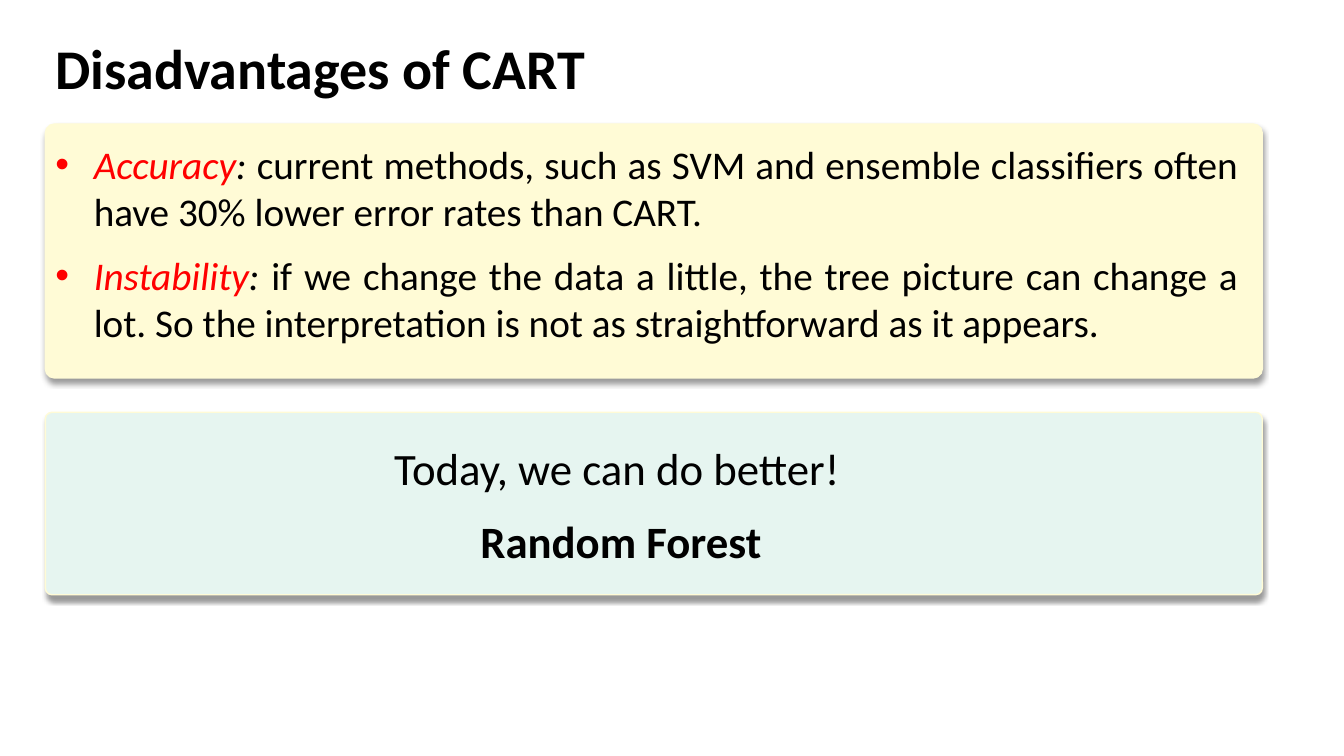
"""Build the slide on the disadvantages of CART."""
import pptx
import pptx.dml.color
import pptx.enum.shapes
import pptx.enum.text
import pptx.oxml
import pptx.oxml.ns
import pptx.util

Inches = pptx.util.Inches
Pt = pptx.util.Pt
ALIGN = pptx.enum.text.PP_ALIGN

FONT = "Calibri"
COLORS = {"text": "000000", "term": "FF0000", "cream": "FFFBD6", "mint": "E6F5F0"}

HEADING = "Disadvantages of CART"
DRAWBACKS = [
    ("Accuracy", ": ", "current methods, such as SVM and ensemble classifiers often "
     "have 30% lower error rates than CART."),
    ("Instability", ":", " if we change the data a little, the tree picture can change "
     "a lot. So the interpretation is not as straightforward as it appears."),
]
CONCLUSIONS = [
    ("Today, we can do better!", False, (0.54, 4.32, 11.16, 0.64)),
    ("Random Forest", True, (4.65, 5.05, 3.02, 0.64)),
]

LEFT, PANEL_WIDTH = 0.45, 12.07
PANELS = [("mint", 4.09, 1.81), ("cream", 1.23, 2.52)]
HEADING_BOX = (LEFT, 0.28, 5.51, 0.77)
DRAWBACKS_BOX = (LEFT, 1.34, 11.93, 2.15)

SHADOW = (
    f'<a:effectLst {pptx.oxml.ns.nsdecls("a")}>'
    f'<a:outerShdw blurRad="{Pt(4)}" dist="{Pt(3)}" dir="5400000" rotWithShape="0">'
    '<a:srgbClr val="000000"><a:alpha val="40000"/></a:srgbClr>'
    '</a:outerShdw></a:effectLst>'
)
BULLET = [
    f'<a:buFont {pptx.oxml.ns.nsdecls("a")} typeface="Arial"/>',
    f'<a:buChar {pptx.oxml.ns.nsdecls("a")} char="•"/>',
]


def rgb(name):
    return pptx.dml.color.RGBColor.from_string(COLORS[name])


def style(run, size, color="text", bold=False, italic=False):
    run.font.name = FONT
    run.font.size = Pt(size)
    run.font.bold = bold
    run.font.italic = italic
    run.font.color.rgb = rgb(color)


def place(shape, box):
    shape.left, shape.top, shape.width, shape.height = map(Inches, box)


def set_frame(frame, wrap):
    frame.word_wrap = wrap
    frame.auto_size = pptx.enum.text.MSO_AUTO_SIZE.NONE
    frame.vertical_anchor = pptx.enum.text.MSO_ANCHOR.TOP


def add_panel(slide, color, top, height):
    panel = slide.shapes.add_shape(
        pptx.enum.shapes.MSO_SHAPE.ROUNDED_RECTANGLE,
        Inches(LEFT), Inches(top), Inches(PANEL_WIDTH), Inches(height))
    panel.adjustments[0] = 0.036
    panel.fill.solid()
    panel.fill.fore_color.rgb = rgb(color)
    panel.line.color.rgb = rgb("cream")
    panel.line.width = Pt(1)
    panel.element.spPr.append(pptx.oxml.parse_xml(SHADOW))
    slide.shapes.title.element.addprevious(panel.element)


def add_drawback(paragraph, term, colon, explanation):
    properties = paragraph._p.get_or_add_pPr()
    properties.set("marL", str(Inches(0.38)))
    properties.set("indent", str(Inches(-0.38)))
    for element in BULLET:
        properties.append(pptx.oxml.parse_xml(element))
    paragraph.alignment = ALIGN.JUSTIFY
    paragraph.space_before = Pt(0)
    paragraph.space_after = Pt(12)
    for text, color, italic in ((term, "term", True), (colon, "text", True),
                                (explanation, "text", False)):
        run = paragraph.add_run()
        run.text = text
        style(run, 28, color, italic=italic)


def main():
    deck = pptx.Presentation()
    deck.slide_width, deck.slide_height = Inches(13.33), Inches(7.5)
    slide = deck.slides.add_slide(deck.slide_layouts[1])

    for panel in PANELS:
        add_panel(slide, *panel)

    heading = slide.shapes.title
    place(heading, HEADING_BOX)
    set_frame(heading.text_frame, False)
    heading.text_frame.text = HEADING
    heading.text_frame.paragraphs[0].alignment = ALIGN.LEFT
    style(heading.text_frame.paragraphs[0].runs[0], 40, bold=True)

    drawbacks = slide.placeholders[1]
    place(drawbacks, DRAWBACKS_BOX)
    frame = drawbacks.text_frame
    set_frame(frame, True)
    for index, drawback in enumerate(DRAWBACKS):
        paragraph = frame.add_paragraph() if index else frame.paragraphs[0]
        add_drawback(paragraph, *drawback)

    for text, bold, box in CONCLUSIONS:
        conclusion = slide.shapes.add_textbox(*map(Inches, box))
        set_frame(conclusion.text_frame, True)
        conclusion.text_frame.text = text
        paragraph = conclusion.text_frame.paragraphs[0]
        paragraph.alignment = ALIGN.CENTER
        style(paragraph.runs[0], 32, bold=bold)

    deck.save("out.pptx")


if __name__ == "__main__":
    main()
